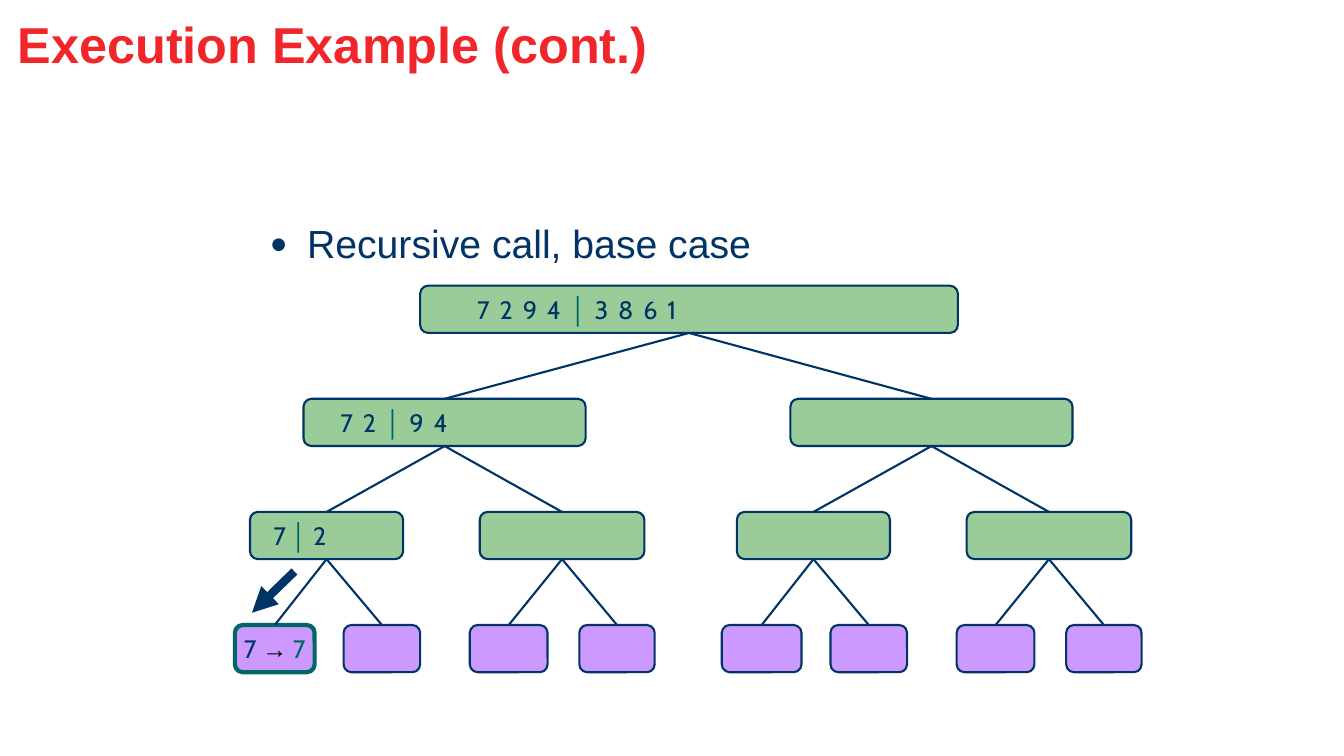
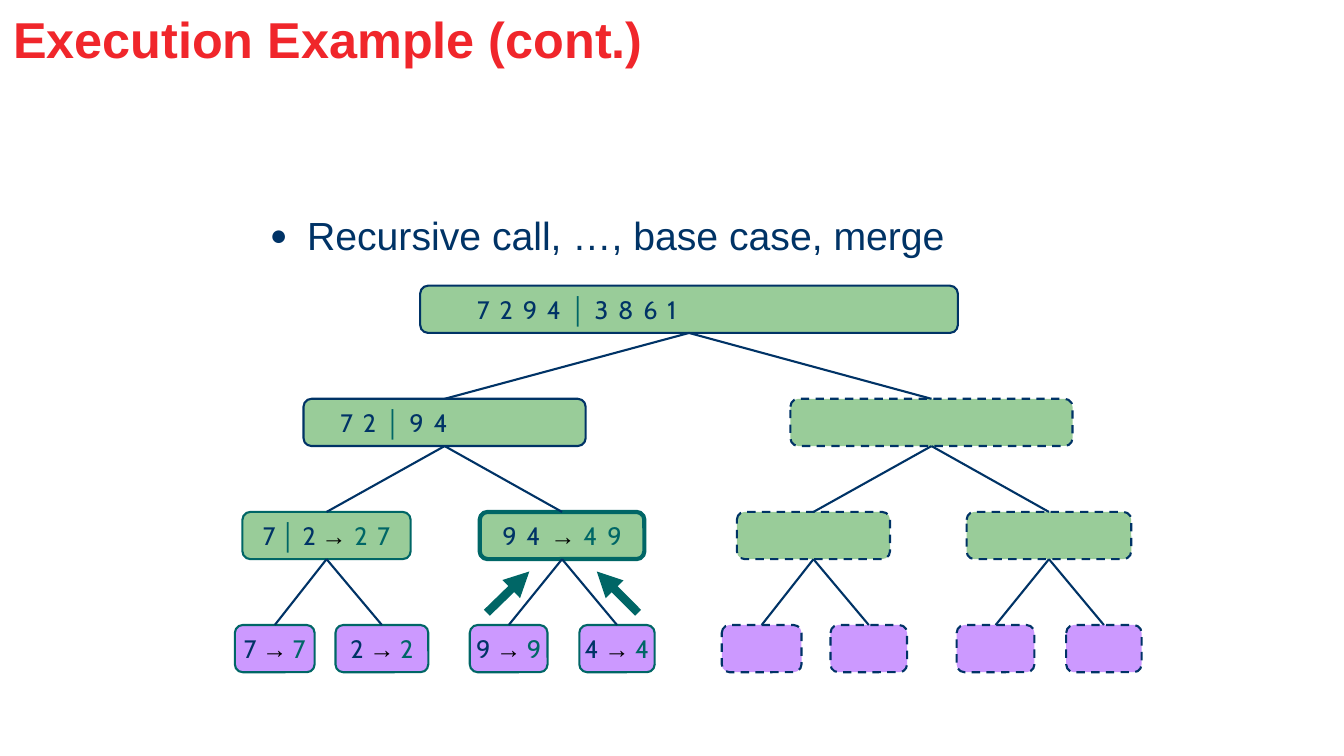
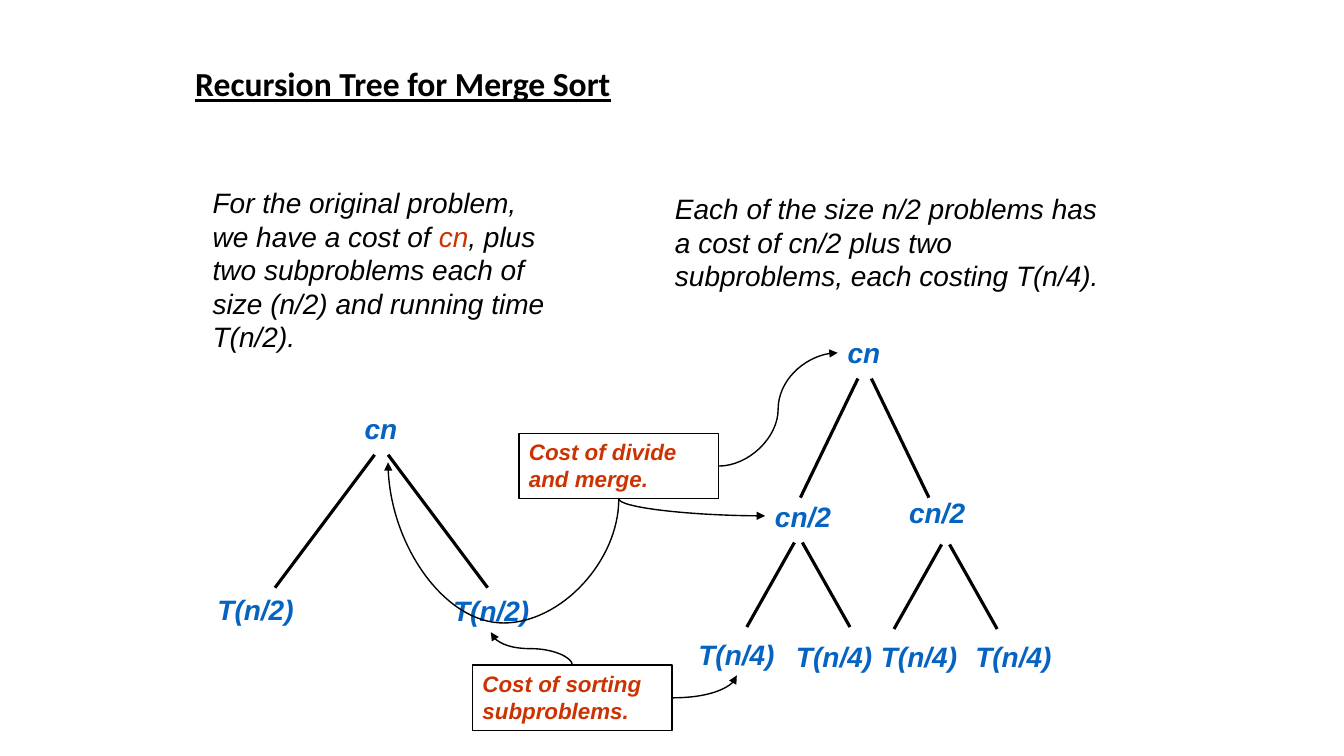
from dataclasses import dataclass, replace

from lxml.etree import SubElement
from pptx import Presentation
from pptx.dml.color import RGBColor
from pptx.enum.dml import MSO_LINE
from pptx.enum.shapes import MSO_CONNECTOR, MSO_SHAPE
from pptx.enum.text import MSO_ANCHOR, PP_ALIGN
from pptx.oxml.ns import qn
from pptx.util import Cm, Pt


@dataclass(frozen=True)
class Style:
    size: float
    colour: str
    font: str = "Arial"
    bold: bool = False
    italic: bool = False
    underline: bool = False
    tracking: float = 0


@dataclass(frozen=True)
class Box:
    """A region of the slide, in centimetres."""
    left: float
    top: float
    width: float
    height: float

    def point(self, x, y):
        return self.left + x, self.top + y

    def inner(self, x, y, width, height):
        return Box(self.left + x, self.top + y, width, height)

    def lengths(self):
        return Cm(self.left), Cm(self.top), Cm(self.width), Cm(self.height)


class Theme:
    navy, teal, black, rust = "003366", "006666", "000000", "CC3300"
    branch_fill, leaf_fill = "99CC99", "CC99FF"
    title = Style(36, "F0262B", bold=True)
    heading = Style(24, black, "Calibri", bold=True, underline=True)
    bullet = Style(28, navy)
    input = Style(18, navy, "Cabin")
    output = Style(18, teal, "Cabin")
    divider = Style(18, teal, bold=True)
    arrow = Style(18, black, bold=True)
    prose = Style(20, black, italic=True)
    prose_accent = replace(prose, colour=rust)
    cost = Style(20, "0563C1", bold=True, italic=True)
    callout = Style(16, rust, bold=True, italic=True)
    digit_tracking = 1.5
    thin, edge, fork, heavy, pointer = 1, 1.5, 2.25, 3, 6


# Border colour, weight and dash for each state of a call
BORDERS = {
    "open": (Theme.navy, Theme.edge, None),
    "waiting": (Theme.navy, Theme.edge, MSO_LINE.DASH),
    "done": (Theme.teal, Theme.edge, None),
    "current": (Theme.teal, Theme.heavy, None),
}


@dataclass(frozen=True)
class Call:
    """One node of the sorting tree; an indent sets its label flush left."""
    label: str = ""
    state: str = "open"
    indent: float = 0
    width: float = 0


@dataclass(frozen=True)
class Fork:
    """Two branches that run down from either side of a centre line."""
    centre: float
    top: float
    half_gap: float
    spread: float
    height: float


@dataclass(frozen=True)
class Pointer:
    """A curved arrow from one side of a callout to a point relative to it."""
    side: str
    end: tuple
    preset: str = "curvedConnector3"
    bend: float = 0.5


def rgb(colour):
    return RGBColor.from_string(colour)


def add_runs(paragraph, runs):
    for text, style in runs:
        run = paragraph.add_run()
        run.text = text
        font = run.font
        font.name, font.size = style.font, Pt(style.size)
        font.bold, font.italic, font.underline = style.bold, style.italic, style.underline
        font.color.rgb = rgb(style.colour)
        if style.tracking:
            font._element.set("spc", str(round(style.tracking * 100)))


def add_text(slide, box, *runs, wrap=True):
    text_frame = slide.shapes.add_textbox(*box.lengths()).text_frame
    text_frame.word_wrap = wrap
    add_runs(text_frame.paragraphs[0], runs)
    return text_frame


def add_title(slide, box, text):
    text_frame = add_text(slide, box, (text, Theme.title))
    text_frame.vertical_anchor = MSO_ANCHOR.BOTTOM
    text_frame.paragraphs[0].line_spacing = 0.9


def add_bullet(slide, box, text):
    text_frame = add_text(slide, box, (text, Theme.bullet))
    text_frame.margin_top = Cm(0.25)
    properties = text_frame.paragraphs[0]._p.get_or_add_pPr()
    properties.set("marL", str(Cm(0.94)))
    properties.set("indent", str(Cm(-0.94)))
    colour = SubElement(properties, qn("a:buClr"))
    SubElement(colour, qn("a:srgbClr"), val=Theme.navy)
    SubElement(properties, qn("a:buSzPct"), val="75000")
    SubElement(properties, qn("a:buFont"), typeface="Arial")
    SubElement(properties, qn("a:buChar"), char="●")


def add_line(slide, begin, end, colour, weight, kind=MSO_CONNECTOR.STRAIGHT, arrow=False):
    ends = (Cm(value) for value in (*begin, *end))
    connector = slide.shapes.add_connector(kind, *ends)
    connector.line.color.rgb = rgb(colour)
    connector.line.width = Pt(weight)
    if arrow:
        SubElement(connector.line._get_or_add_ln(), qn("a:tailEnd"), type="triangle")
    SubElement(connector._element.spPr, qn("a:effectLst"))
    return connector


def add_curve(slide, begin, end, pointer):
    """Draw a curved arrow; one that leaves vertically is turned by 90 degrees."""
    vertical = pointer.side != "right"
    if vertical:
        centre_x, centre_y = (begin[0] + end[0]) / 2, (begin[1] + end[1]) / 2
        half_x, half_y = (end[1] - begin[1]) / 2, (begin[0] - end[0]) / 2
        begin = centre_x - half_x, centre_y - half_y
        end = centre_x + half_x, centre_y + half_y
    connector = add_line(slide, begin, end, Theme.black, Theme.thin, MSO_CONNECTOR.CURVE, True)
    properties = connector._element.spPr
    if vertical:
        properties.find(qn("a:xfrm")).set("rot", "5400000")
    geometry = properties.find(qn("a:prstGeom"))
    geometry.set("prst", pointer.preset)
    if pointer.preset == "curvedConnector3":
        guide = f"val {round(pointer.bend * 100000)}"
        SubElement(geometry.find(qn("a:avLst")), qn("a:gd"), name="adj1", fmla=guide)


def label_runs(label):
    """Split a label such as 7 │ 2 → 2 7 into its styled runs."""
    before, arrow, output = label.partition("→")
    first, divider, second = before.partition("│")
    pieces = ((first, Theme.input), (divider, Theme.divider), (second, Theme.input),
              (arrow, Theme.arrow), (output, Theme.output))
    for text, style in pieces:
        if " " in text.strip():
            style = replace(style, tracking=Theme.digit_tracking)
        if text:
            yield text, style


def draw_call(slide, box, call, fill):
    shape = slide.shapes.add_shape(MSO_SHAPE.ROUNDED_RECTANGLE, *box.lengths())
    shape.shadow.inherit = False
    shape.fill.solid()
    shape.fill.fore_color.rgb = rgb(fill)
    colour, weight, dash = BORDERS[call.state]
    shape.line.color.rgb = rgb(colour)
    shape.line.width = Pt(weight)
    if dash:
        shape.line.dash_style = dash
    if call.label:
        text_frame = shape.text_frame
        text_frame.vertical_anchor = MSO_ANCHOR.MIDDLE
        text_frame.word_wrap = bool(call.indent)
        paragraph = text_frame.paragraphs[0]
        paragraph.alignment = PP_ALIGN.LEFT if call.indent else PP_ALIGN.CENTER
        if call.indent:
            text_frame.margin_left = Cm(call.indent)
        add_runs(paragraph, label_runs(call.label))
    return shape


def tree_slots():
    """Give level, left and width of the 15 nodes, level by level."""
    half_shift = 12.27
    half_levels = (
        ((1.73, 7.11),),
        ((0.38, 3.86), (6.17, 4.15)),
        ((0, 2.01), (2.74, 1.93), (5.92, 1.96), (8.68, 1.9)),
    )
    yield 0, 4.67, 13.55
    for level, half in enumerate(half_levels, 1):
        for shift in (0, half_shift):
            for left, width in half:
                yield level, left + shift, width


def draw_sorting_tree(slide, box, calls, arrows, arrow_colour):
    node_height = 1.19
    level_step = (box.height - node_height) / 3
    shapes = []
    for index, (level, left, width) in enumerate(tree_slots()):
        call = calls.get(index, Call())
        if call.width:
            left, width = left + (width - call.width) / 2, call.width
        fill = Theme.leaf_fill if level == 3 else Theme.branch_fill
        node_box = box.inner(left, level * level_step, width, node_height)
        shapes.append(draw_call(slide, node_box, call, fill))
    for index, child in enumerate(shapes[1:], 1):
        edge = add_line(slide, (0, 0), (1, 1), Theme.navy, Theme.edge)
        edge.begin_connect(shapes[(index - 1) // 2], 2)
        edge.end_connect(child, 0)
    for begin, end in arrows:
        add_line(slide, box.point(*begin), box.point(*end), arrow_colour,
                 Theme.pointer, arrow=True)


def build_execution_slide(slide, title_at, bullet_top, bullet, calls, arrows, arrow_colour):
    add_title(slide, Box(*title_at, 22.23, 1.63), "Execution Example (cont.)")
    add_bullet(slide, Box(6.55, bullet_top, 21.59, 1.45), bullet)
    draw_sorting_tree(slide, Box(5.92, 7.2, 22.85, 9.74), calls, arrows, arrow_colour)


def draw_cost_tree(slide, box, labels, forks):
    for text, width, x, y in labels:
        add_text(slide, box.inner(x, y, width, 1.11), (text, Theme.cost), wrap=False)
    for fork in forks:
        for side in (-1, 1):
            begin = box.point(fork.centre + side * fork.half_gap, fork.top)
            end = box.point(fork.centre + side * fork.spread, fork.top + fork.height)
            add_line(slide, begin, end, Theme.black, Theme.fork)


def draw_callout(slide, box, text, pointers):
    shape = slide.shapes.add_shape(MSO_SHAPE.RECTANGLE, *box.lengths())
    shape.shadow.inherit = False
    shape.fill.background()
    shape.line.color.rgb = rgb(Theme.black)
    shape.line.width = Pt(Theme.thin)
    text_frame = shape.text_frame
    text_frame.word_wrap = True
    text_frame.vertical_anchor = MSO_ANCHOR.TOP
    text_frame.paragraphs[0].alignment = PP_ALIGN.LEFT
    add_runs(text_frame.paragraphs[0], [(text, Theme.callout)])
    starts = {
        "top": (box.width / 2, 0),
        "right": (box.width, box.height / 2),
        "bottom": (box.width / 2, box.height),
    }
    for pointer in pointers:
        add_curve(slide, box.point(*starts[pointer.side]), box.point(*pointer.end), pointer)


def build_recursion_slide(slide):
    add_text(slide, Box(4.67, 1.47, 24.43, 1.88),
             ("Recursion Tree for Merge Sort", Theme.heading))
    add_text(slide, Box(5.11, 4.55, 9.22, 4.52),
             ("For the original problem, we have a cost of ", Theme.prose),
             ("cn", Theme.prose_accent),
             (", plus two subproblems each of size (n/2) and running time T(n/2).", Theme.prose))
    add_text(slide, Box(16.76, 4.7, 11.3, 2.82),
             ("Each of the size n/2 problems has a cost of cn/2 plus two subproblems, "
              "each costing T(n/4).", Theme.prose))
    draw_cost_tree(
        slide, Box(5.23, 10.24, 8.38, 5.7),
        [("cn", 1.35, 3.71, 0), ("T(n/2)", 2.46, 0, 4.57), ("T(n/2)", 2.46, 5.94, 4.6)],
        [Fork(4.38, 1.22, 0.17, 2.68, 3.35)])
    draw_cost_tree(
        slide, Box(17.35, 8.33, 9.42, 8.76),
        [("cn", 1.35, 3.76, 0),
         ("cn/2", 1.93, 1.93, 4.12), ("cn/2", 1.93, 5.31, 4.04),
         ("T(n/4)", 2.46, 0, 7.6), ("T(n/4)", 2.46, 2.46, 7.65),
         ("T(n/4)", 2.46, 4.6, 7.65), ("T(n/4)", 2.46, 6.98, 7.65)],
        [Fork(4.44, 1.21, 0.17, 1.62, 3),
         Fork(2.77, 5.34, 0.1, 1.3, 2.13), Fork(6.48, 5.39, 0.1, 1.3, 2.13)])
    draw_callout(
        slide, Box(13.08, 10.92, 5.03, 1.65), "Cost of divide and merge.",
        [Pointer("bottom", (-3.3, 0.73), bend=-3.4),
         Pointer("right", (8.03, -2.03)),
         Pointer("bottom", (6.2, 2.08), "curvedConnector2")])
    draw_callout(
        slide, Box(11.91, 16.76, 5.03, 1.65), "Cost of sorting subproblems.",
        [Pointer("top", (0.46, -0.83)),
         Pointer("right", (6.66, 0.26), "curvedConnector2")])


def main():
    presentation = Presentation()
    presentation.slide_width, presentation.slide_height = Cm(33.87), Cm(19.05)
    base_case, merge, recursion = (
        presentation.slides.add_slide(presentation.slide_layouts[6]) for _ in range(3))

    split_calls = {
        0: Call("7 2 9 4 │ 3 8 6 1", indent=1.38),
        1: Call("7 2 │ 9 4", indent=0.87),
    }
    build_execution_slide(
        base_case, (0.2, 0.36), 5.28, "Recursive call, base case",
        split_calls | {3: Call("7 │ 2", indent=0.53), 7: Call("7 → 7", "current")},
        [((1.5, 7.2), (0.43, 8.24))], Theme.navy)

    waiting_calls = {index: Call(state="waiting") for index in (2, 5, 6, 11, 12, 13, 14)}
    merged_calls = {
        3: Call("7 │ 2 → 2 7", "done", width=4.24),
        4: Call("9 4 → 4 9", "current"),
        7: Call("7 → 7", "done"),
        8: Call("2 → 2", "done", width=2.34),
        9: Call("9 → 9", "done"),
        10: Call("4 → 4", "done"),
    }
    build_execution_slide(
        merge, (0.08, 0.25), 5.08, "Recursive call, …, base case, merge",
        split_calls | waiting_calls | merged_calls,
        [((6.35, 8.24), (7.42, 7.2)), ((10.16, 8.24), (9.12, 7.2))], Theme.teal)

    build_recursion_slide(recursion)
    presentation.save("out.pptx")


if __name__ == "__main__":
    main()
